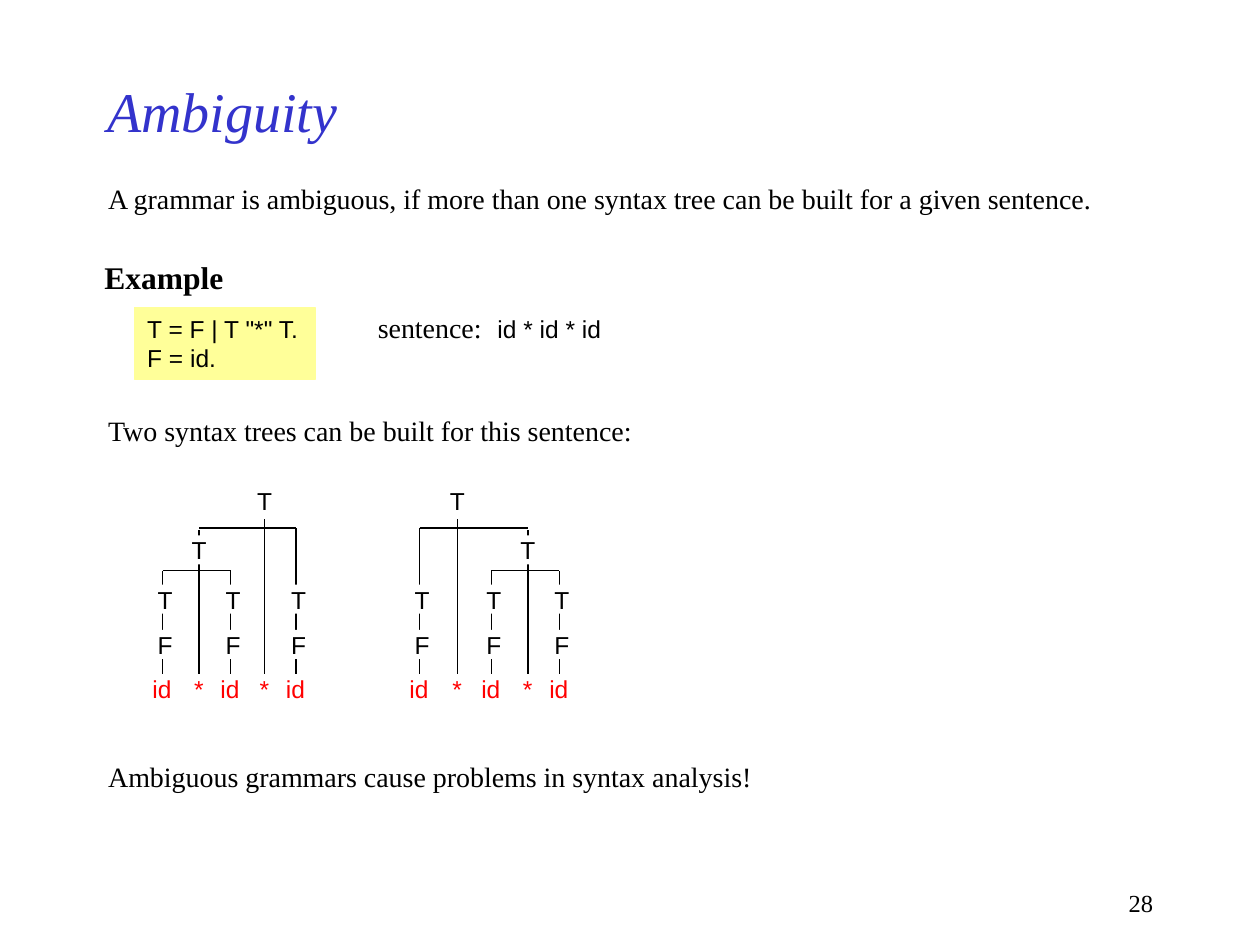
from lxml.etree import SubElement
from pptx import Presentation
from pptx.dml.color import RGBColor
from pptx.enum.shapes import MSO_CONNECTOR as CONN, MSO_SHAPE as SHAPE
from pptx.enum.text import MSO_ANCHOR as ANCHOR, MSO_AUTO_SIZE as FIT, PP_ALIGN as ALIGN
from pptx.oxml.ns import qn
from pptx.util import Inches, Pt

COLORS = {"title": "3333CC", "text": "000000", "leaf": "FF0000",
          "grammar": "FFFF99", "paper": "FFFFFF"}
SERIF, SANS = "Times New Roman", "Arial"
BODY = {"name": SERIF, "size": Pt(16)}
CODE = {"name": SANS, "size": Pt(14)}
# Levels of the syntax trees: tops of labels and heights of lines
ROOT_Y, INNER_Y, T_Y, F_Y, LEAF_Y = 3.86, 4.25, 4.64, 5, 5.35
STEM_Y, OUTER_BAR_Y, INNER_STEM_Y, INNER_BAR_Y, BOTTOM_Y = 4.12, 4.19, 4.21, 4.53, 5.36


def color(name):
    return RGBColor.from_string(COLORS[name])


def add_run(p, text, fmt, tint="text"):
    r = p.add_run()
    r.text = text
    for key, value in fmt.items():
        setattr(r.font, key, value)
    r.font.color.rgb = color(tint)


def set_frame(tf, **fmt):
    for key, value in fmt.items():
        setattr(tf, key, value)


def add_text(slide, box, text, fmt):
    tf = slide.shapes.add_textbox(*map(Inches, box)).text_frame
    set_frame(tf, word_wrap=False, auto_size=FIT.SHAPE_TO_FIT_TEXT)
    add_run(tf.paragraphs[0], text, fmt)
    return tf


def add_box(slide, box, lines, fill, tint="text"):
    """Add a filled rectangle with one left-aligned paragraph per line."""
    sp = slide.shapes.add_shape(SHAPE.RECTANGLE, *map(Inches, box))
    sp.shadow.inherit = False
    sp.fill.solid()
    sp.fill.fore_color.rgb = color(fill)
    sp.line.fill.background()
    tf = sp.text_frame
    set_frame(tf, word_wrap=False, auto_size=FIT.SHAPE_TO_FIT_TEXT,
              vertical_anchor=ANCHOR.TOP)
    for i, line in enumerate(lines):
        p = tf.add_paragraph() if i else tf.paragraphs[0]
        p.alignment = ALIGN.LEFT
        add_run(p, line, CODE, tint)
    return sp


def add_grammar(slide):
    sp = add_box(slide, (1.07, 2.44, 1.43, 0.57),
                 ['T = F | T "*" T.', "F = id."], "grammar")
    sp.line.color.rgb = color("grammar")
    sp.line.width = Pt(0.75)


def add_sentence(slide):
    tf = slide.shapes.add_textbox(*map(Inches, (2.9, 2.39, 2.1, 0.4))).text_frame
    tf.word_wrap = True
    p = tf.paragraphs[0]
    tabs = SubElement(p._p.get_or_add_pPr(), qn("a:tabLst"))
    SubElement(tabs, qn("a:tab"), pos=str(Inches(0.95)), algn="l")
    add_run(p, "sentence:", BODY)
    add_run(p, "\t", {"name": SERIF, "size": Pt(18)})
    add_run(p, "id * id * id", CODE)


def add_line(slide, x1, y1, x2, y2):
    line = slide.shapes.add_connector(CONN.STRAIGHT, *map(Inches, (x1, y1, x2, y2)))
    line.line.color.rgb = color("text")
    line.line.width = Pt(0.75)
    SubElement(line._element.spPr, qn("a:effectLst"))


def add_node(slide, x, y, text, width=0.12, tint="text"):
    sp = add_box(slide, (x, y, width, 0.23), [text], "paper", tint)
    set_frame(sp.text_frame, margin_left=0, margin_top=0, margin_right=0, margin_bottom=0)


def add_chain(slide, x, top):
    """Add the derivation T - F - id below a bar at height top."""
    add_line(slide, x, BOTTOM_Y, x, top)
    add_node(slide, x - 0.08, LEAF_Y, "id", 0.17, "leaf")
    add_node(slide, x - 0.04, F_Y, "F")
    add_node(slide, x - 0.04, T_Y, "T")


def add_product(slide, x, top, label_y):
    """Add a T node whose stem leads down to its operator."""
    add_line(slide, x, BOTTOM_Y, x, top)
    add_node(slide, x - 0.04, LEAF_Y, "*", 0.08, "leaf")
    add_node(slide, x - 0.06, label_y, "T")


def add_tree(slide, root, inner, outer):
    """Add a tree whose inner product sits at x inner, beside a single chain at outer."""
    left, right = inner - 0.29, inner + 0.25
    for x in (left, right):
        add_chain(slide, x, INNER_BAR_Y)
    add_product(slide, inner, INNER_STEM_Y, INNER_Y)
    add_line(slide, left, INNER_BAR_Y, right, INNER_BAR_Y)
    add_chain(slide, outer, OUTER_BAR_Y)
    add_product(slide, root, STEM_Y, ROOT_Y)
    add_line(slide, min(inner, outer), OUTER_BAR_Y, max(inner, outer), OUTER_BAR_Y)


def add_title(slide, text):
    sp = slide.shapes.title
    sp.left, sp.top, sp.width, sp.height = map(Inches, (0.75, 0.5, 7.5, 0.75))
    set_frame(sp.text_frame, vertical_anchor=ANCHOR.MIDDLE, auto_size=FIT.NONE)
    p = sp.text_frame.paragraphs[0]
    p.alignment = ALIGN.LEFT
    add_run(p, text, {"name": SERIF, "size": Pt(32), "italic": True}, "title")


def main():
    prs = Presentation()
    prs.slide_width, prs.slide_height = Inches(10), Inches(7.5)
    slide = prs.slides.add_slide(prs.slide_layouts[5])
    add_title(slide, "Ambiguity")
    add_text(slide, (0.76, 1.39, 8.01, 0.37),
             "A grammar is ambiguous, if more than one syntax tree "
             "can be built for a given sentence.", BODY)
    add_text(slide, (0.73, 2, 1.18, 0.4), "Example",
             {"name": SERIF, "size": Pt(18), "bold": True})
    add_grammar(slide)
    add_sentence(slide)
    add_text(slide, (0.76, 3.23, 4.37, 0.37),
             "Two syntax trees can be built for this sentence:", BODY)
    add_tree(slide, root=2.1, inner=1.58, outer=2.35)
    add_tree(slide, root=3.63, inner=4.19, outer=3.33)
    add_text(slide, (0.76, 5.98, 5.31, 0.37),
             "Ambiguous grammars cause problems in syntax analysis!", BODY)
    tf = add_text(slide, (7.17, 7, 2.08, 0.33), "28", {"name": SERIF, "size": Pt(14)})
    set_frame(tf, word_wrap=True, auto_size=FIT.NONE)
    tf.paragraphs[0].alignment = ALIGN.RIGHT
    prs.save("out.pptx")


if __name__ == "__main__":
    main()
